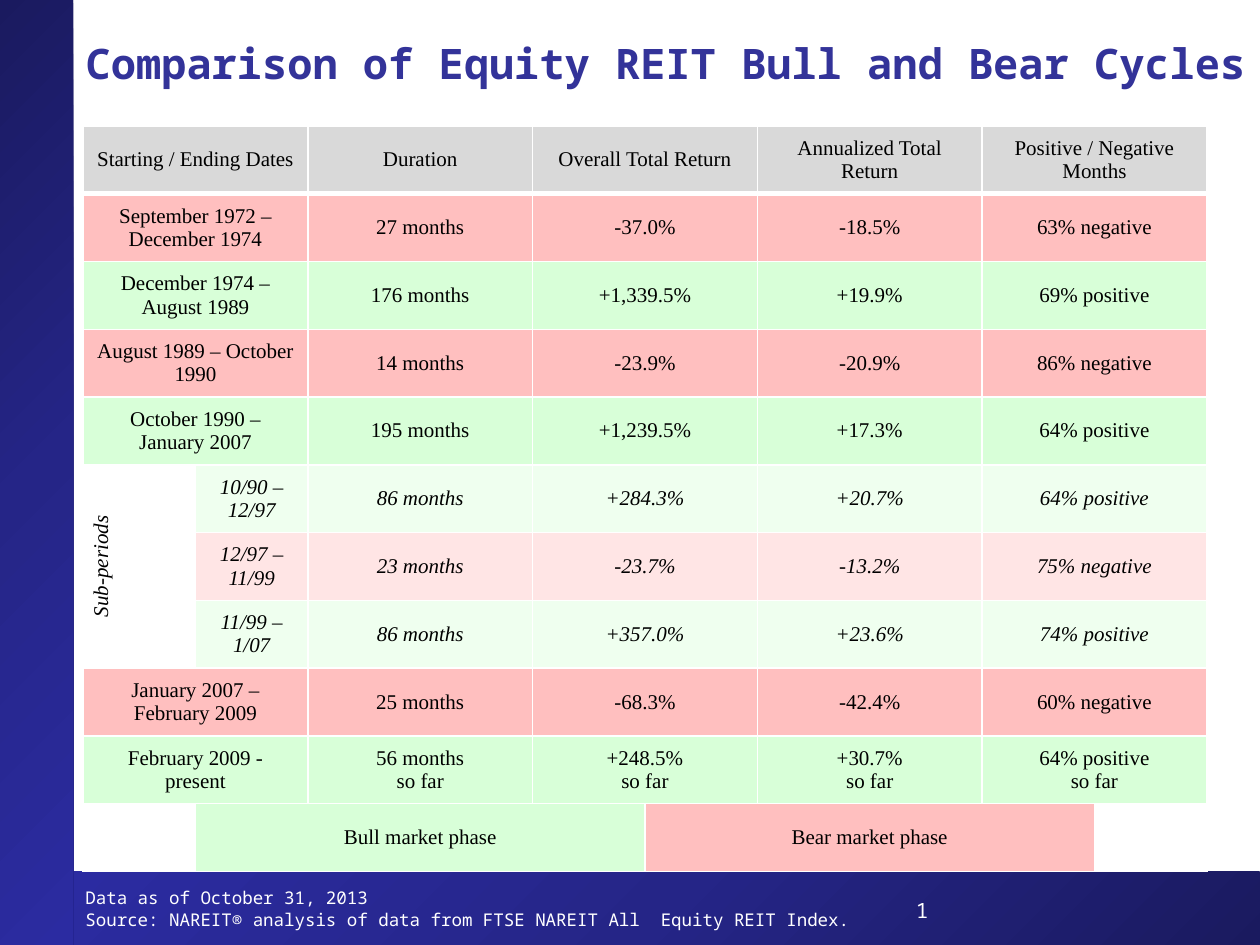
import copy
from dataclasses import dataclass

import pptx
import pptx.dml.color
import pptx.enum.shapes
import pptx.enum.text
import pptx.oxml
import pptx.oxml.ns
import pptx.util
from pptx.util import Inches

RGBColor = pptx.dml.color.RGBColor
Pt = pptx.util.Pt
Anchor = pptx.enum.text.MSO_ANCHOR
Align = pptx.enum.text.PP_ALIGN
qn = pptx.oxml.ns.qn

WHITE = RGBColor(0xFF, 0xFF, 0xFF)
BLACK = RGBColor(0x00, 0x00, 0x00)
TITLE_BLUE = RGBColor(0x33, 0x33, 0x99)
HEADER_GRAY = RGBColor(0xD9, 0xD9, 0xD9)
BULL_GREEN = RGBColor(0x66, 0xFF, 0x66)
BEAR_RED = RGBColor(0xFF, 0x00, 0x00)
BAR_BLUES = (RGBColor(0x1A, 0x1A, 0x5F), RGBColor(0x25, 0x25, 0x87), RGBColor(0x2B, 0x2B, 0xA1))
MONO = "Noto Sans Mono"
SERIF = "Times New Roman"

COLUMN_UNITS = (1, 1, 2, 1, 1, 2, 1, 1)
VALUE_COLUMNS = (2, 3, 5, 6)
PAIRED_COLUMNS = (0, 3, 6)
CYCLE_OPACITY, SUB_PERIOD_OPACITY = 25, 10


@dataclass
class Cycle:
    dates: str
    values: tuple[str, str, str, str]
    color: RGBColor
    sub_period: bool = False


HEADER = Cycle("Starting / Ending Dates",
               ("Duration", "Overall Total Return", "Annualized Total Return",
                "Positive / Negative Months"), HEADER_GRAY)
CYCLES = (
    Cycle("September 1972 – December 1974",
          ("27 months", "-37.0%", "-18.5%", "63% negative"), BEAR_RED),
    Cycle("December 1974 – August 1989",
          ("176 months", "+1,339.5%", "+19.9%", "69% positive"), BULL_GREEN),
    Cycle("August 1989 – October 1990",
          ("14 months", "-23.9%", "-20.9%", "86% negative"), BEAR_RED),
    Cycle("October 1990 – January 2007",
          ("195 months", "+1,239.5%", "+17.3%", "64% positive"), BULL_GREEN),
    Cycle("10/90 – 12/97", ("86 months", "+284.3%", "+20.7%", "64% positive"), BULL_GREEN, True),
    Cycle("12/97 – 11/99", ("23 months", "-23.7%", "-13.2%", "75% negative"), BEAR_RED, True),
    Cycle("11/99 – 1/07", ("86 months", "+357.0%", "+23.6%", "74% positive"), BULL_GREEN, True),
    Cycle("January 2007 – February 2009",
          ("25 months", "-68.3%", "-42.4%", "60% negative"), BEAR_RED),
    Cycle("February 2009 - present",
          ("56 months\nso far", "+248.5%\nso far", "+30.7%\nso far", "64% positive\nso far"),
          BULL_GREEN),
)


def write_text(frame, text: str, font_name: str, size: float, color: RGBColor,
               bold: bool = False, italic: bool = False, align=Align.LEFT) -> None:
    """Write each line of text as its own paragraph."""
    for index, line in enumerate(text.split("\n")):
        paragraph = frame.add_paragraph() if index else frame.paragraphs[0]
        paragraph.alignment = align
        run = paragraph.add_run()
        run.text = line
        run.font.name, run.font.size = font_name, Pt(size)
        run.font.bold, run.font.italic = bold, italic
        run.font.color.rgb = color


def add_gradient_bar(slide, left: float, top: float, width: float, height: float,
                     angle: float) -> None:
    bar = slide.shapes.add_shape(pptx.enum.shapes.MSO_SHAPE.RECTANGLE,
                                 Inches(left), Inches(top), Inches(width), Inches(height))
    bar.shadow.inherit = False
    bar.line.fill.background()
    bar.fill.gradient()
    bar.fill.gradient_angle = angle
    stop_list = bar.element.spPr.find(".//" + qn("a:gsLst"))
    stop_list.append(copy.deepcopy(stop_list[0]))
    for index, (stop, color) in enumerate(zip(bar.fill.gradient_stops, BAR_BLUES)):
        stop.position = index / 2
        stop.color.rgb = color


def add_text_box(slide, left: float, top: float, width: float, height: float,
                 text: str, size: float, anchor, wrap: bool) -> None:
    box = slide.shapes.add_textbox(Inches(left), Inches(top), Inches(width), Inches(height))
    box.text_frame.word_wrap = wrap
    box.text_frame.vertical_anchor = anchor
    write_text(box.text_frame, text, MONO, size, WHITE)


def set_borders(cell, top: float = 1, bottom: float = 1) -> None:
    properties = cell._tc.get_or_add_tcPr()
    for tag, width in (("lnL", 1), ("lnR", 1), ("lnT", top), ("lnB", bottom)):
        properties.append(pptx.oxml.parse_xml(
            f'<a:{tag} {pptx.oxml.ns.nsdecls("a")} w="{Pt(width)}"><a:solidFill>'
            f'<a:srgbClr val="{WHITE}"/></a:solidFill></a:{tag}>'))


def fill_cell(cell, color: RGBColor, opacity: int) -> None:
    cell.fill.solid()
    cell.fill.fore_color.rgb = color
    if opacity < 100:
        color_element = cell._tc.tcPr.find(f'{qn("a:solidFill")}/{qn("a:srgbClr")}')
        alpha = pptx.oxml.parse_xml(
            f'<a:alpha {pptx.oxml.ns.nsdecls("a")} val="{opacity * 1000}"/>')
        color_element.append(alpha)


def write_cell(cell, text: str, italic: bool = False, anchor=Anchor.MIDDLE) -> None:
    cell.vertical_anchor = anchor
    write_text(cell.text_frame, text, SERIF, 12, BLACK, italic=italic, align=Align.CENTER)


def write_row(table, row: int, cycle: Cycle, opacity: int) -> None:
    date_column = 1 if cycle.sub_period else 0
    texts = (cycle.dates, *cycle.values)
    for column, text in zip((date_column, *VALUE_COLUMNS), texts):
        cell = table.cell(row, column)
        if column in PAIRED_COLUMNS:
            cell.merge(table.cell(row, column + 1))
        fill_cell(cell, cycle.color, opacity)
        write_cell(cell, text, cycle.sub_period)


def add_cycle_table(slide) -> None:
    row_count = len(CYCLES) + 2
    width, height = Inches(8.92), Inches(5.92)
    table = slide.shapes.add_table(row_count, len(COLUMN_UNITS), Inches(0.66), Inches(1),
                                   width, height).table
    table.first_row = table.horz_banding = False
    for column, units in zip(table.columns, COLUMN_UNITS):
        column.width = width * units // sum(COLUMN_UNITS)
    for index, row in enumerate(table.rows):
        row.height = height // row_count
        for cell in row.cells:
            set_borders(cell, top=3 if index == 1 else 1, bottom=3 if index == 0 else 1)
            cell.fill.background()

    write_row(table, 0, HEADER, 100)
    for row, cycle in enumerate(CYCLES, start=1):
        write_row(table, row, cycle, SUB_PERIOD_OPACITY if cycle.sub_period else CYCLE_OPACITY)

    sub_rows = [row for row, cycle in enumerate(CYCLES, start=1) if cycle.sub_period]
    label = table.cell(sub_rows[0], 0)
    label.merge(table.cell(sub_rows[-1], 0))
    write_cell(label, "Sub-periods", italic=True, anchor=Anchor.BOTTOM)
    label._tc.tcPr.set("vert", "vert270")

    legend_row = row_count - 1
    for column, text, color in ((1, "Bull market phase", BULL_GREEN),
                                (4, "Bear market phase", BEAR_RED)):
        cell = table.cell(legend_row, column)
        cell.merge(table.cell(legend_row, column + 2))
        fill_cell(cell, color, CYCLE_OPACITY)
        write_cell(cell, text)


def add_title(slide) -> None:
    title = slide.shapes.title
    title.left, title.top = Inches(0.58), Inches(0)
    title.width, title.height = Inches(9.42), Inches(1)
    frame = title.text_frame
    frame.word_wrap = True
    frame.auto_size = pptx.enum.text.MSO_AUTO_SIZE.NONE
    frame.vertical_anchor = Anchor.MIDDLE
    write_text(frame, "Comparison of Equity REIT Bull and Bear Cycles", MONO, 24,
               TITLE_BLUE, bold=True)


def main() -> None:
    presentation = pptx.Presentation()
    presentation.slide_width, presentation.slide_height = Inches(10), Inches(7.5)
    slide = presentation.slides.add_slide(presentation.slide_layouts[5])
    add_gradient_bar(slide, 0.5, 6.92, 9.5, 0.58, angle=135)
    add_gradient_bar(slide, 0, 0, 0.58, 7.5, angle=315)
    add_text_box(slide, 7.17, 7.07, 2.08, 0.25, "1", 12, Anchor.TOP, True)
    add_text_box(slide, 0.58, 6.92, 7.83, 0.58,
                 "Data as of October 31, 2013\n"
                 "Source: NAREIT® analysis of data from FTSE NAREIT All  Equity REIT Index.",
                 10, Anchor.MIDDLE, False)
    add_title(slide)
    add_cycle_table(slide)
    presentation.save("out.pptx")


if __name__ == "__main__":
    main()
